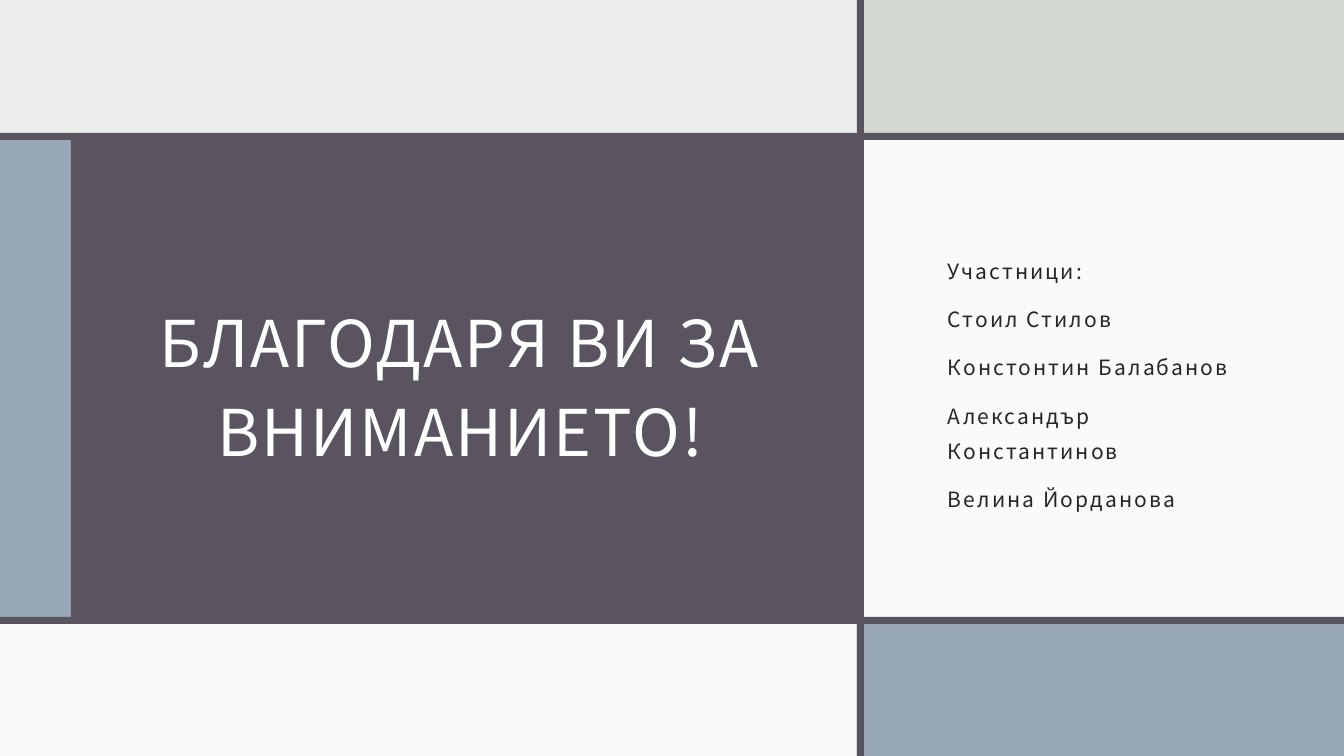
"""Build the closing slide: a thank-you panel and the list of participants."""
import pptx
import pptx.dml.color
import pptx.enum.shapes
import pptx.enum.text
import pptx.oxml.ns
import pptx.util
from lxml import etree

WIDTH, HEIGHT = 1344, 756
SCALE = 12192000 / WIDTH
BAR = 7
THEME = {
    "font": "Noto Sans CJK JP",
    "background": "EBEDEB",
    "sage": "D2D7D2",
    "blue": "97A7B8",
    "plum": "595460",
    "white": "FFFFFF",
    "ink": "262626",
    "title_size": 46,
    "body_size": 15,
    "spacing": 150,
}


def emu(*lengths):
    return [round(length * SCALE) for length in lengths]


def add_text(box, lines, size, color, alignment, line_spacing):
    text_box = slide.shapes.add_textbox(*emu(*box))
    text_frame = text_box.text_frame
    text_frame.word_wrap = True
    text_frame.vertical_anchor = pptx.enum.text.MSO_ANCHOR.MIDDLE
    text_frame.margin_left, text_frame.margin_top = emu(12, 12)
    text_frame.margin_right, text_frame.margin_bottom = emu(12, 10)
    text_frame.text = "\n".join(lines)
    for index, paragraph in enumerate(text_frame.paragraphs):
        paragraph.alignment = alignment
        paragraph.line_spacing = line_spacing
        if index:
            paragraph.space_before = pptx.util.Pt(9.3)
        for run in paragraph.runs:
            run.font.name = THEME["font"]
            run.font.size = pptx.util.Pt(size)
            run.font.color.rgb = pptx.dml.color.RGBColor.from_string(color)
            run.font._element.set("spc", str(THEME["spacing"]))


presentation = pptx.Presentation()
presentation.slide_width, presentation.slide_height = emu(WIDTH, HEIGHT)
slide = presentation.slides.add_slide(presentation.slide_layouts[6])
slide.background.fill.solid()
slide.background.fill.fore_color.rgb = pptx.dml.color.RGBColor.from_string(THEME["background"])

panels = [
    ((860, 0, 484, 134), "sage"),
    ((0, 139, 71, 481), "blue"),
    ((71, 136, 793, 486), "plum"),
    ((0, 618, 856, 138), "white"),
    ((864, 135, 480, 488), "white"),
    ((860, 621, 484, 135), "blue"),
    ((857, 0, BAR, HEIGHT), "plum"),
    ((0, 133, WIDTH, BAR), "plum"),
    ((0, 617, WIDTH, BAR), "plum"),
]
for box, color in panels:
    shape = slide.shapes.add_shape(pptx.enum.shapes.MSO_SHAPE.RECTANGLE, *emu(*box))
    shape.shadow.inherit = False
    shape.line.fill.background()
    shape.fill.solid()
    shape.fill.fore_color.rgb = pptx.dml.color.RGBColor.from_string(THEME[color])
    if color == "white":
        fill_color = shape._element.spPr.find(".//" + pptx.oxml.ns.qn("a:srgbClr"))
        etree.SubElement(fill_color, pptx.oxml.ns.qn("a:alpha"), val="75000")

add_text((126, 170, 669, 419), ["БЛАГОДАРЯ ВИ ЗА ВНИМАНИЕТО!"], THEME["title_size"],
         THEME["white"], pptx.enum.text.PP_ALIGN.CENTER, 1.15)
participants = [
    "Участници:",
    "Стоил Стилов",
    "Констонтин Балабанов",
    "Александър Константинов",
    "Велина Йорданова",
]
add_text((936, 212, 337, 334), participants, THEME["body_size"],
         THEME["ink"], pptx.enum.text.PP_ALIGN.LEFT, 1.4)

presentation.save("out.pptx")
